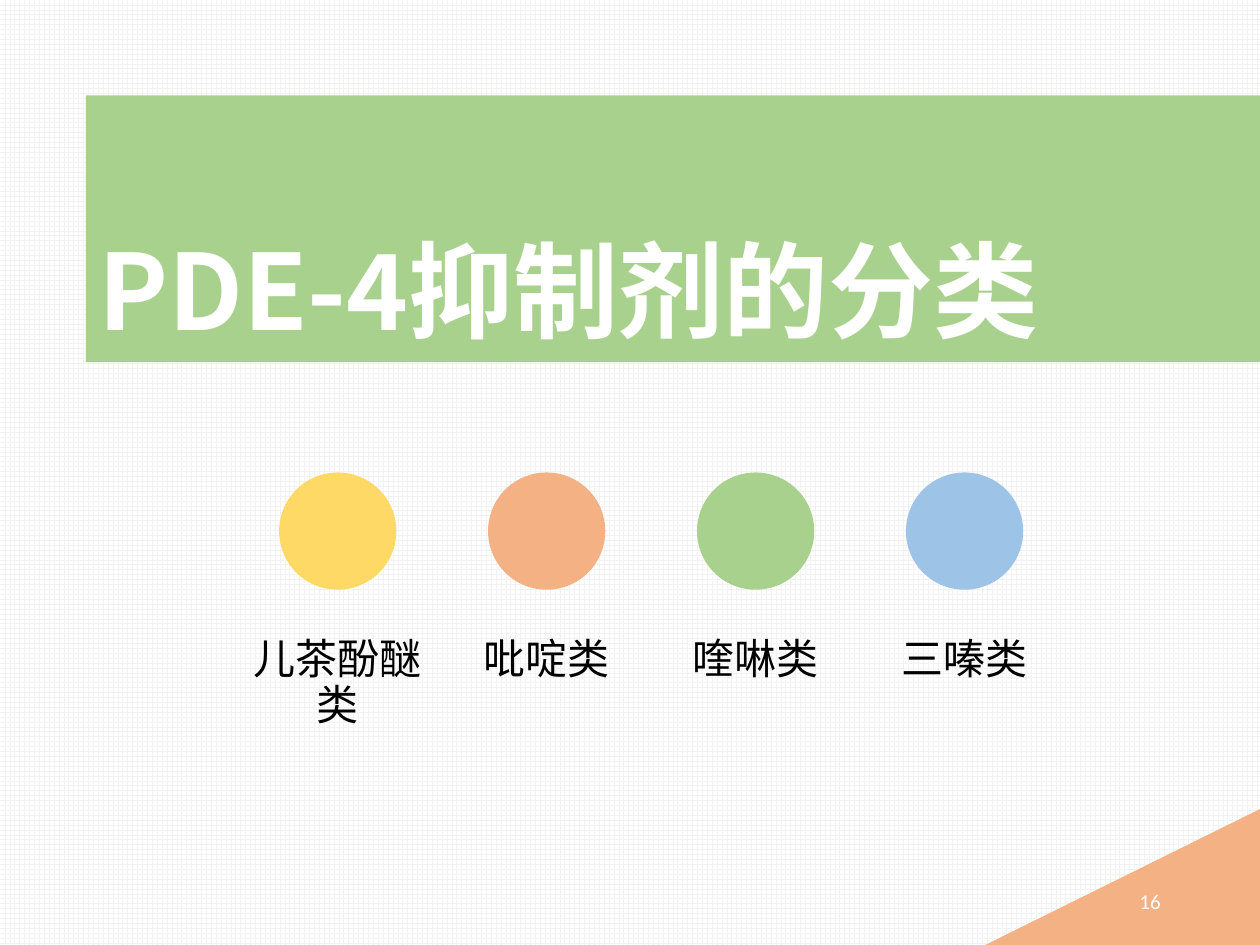
import dataclasses

import lxml.etree
import pptx
import pptx.dml.color
import pptx.enum.dml
import pptx.enum.shapes
import pptx.enum.text
import pptx.oxml.ns
import pptx.util

Pt = pptx.util.Pt
Shape = pptx.enum.shapes.MSO_SHAPE
Align = pptx.enum.text.PP_ALIGN
Anchor = pptx.enum.text.MSO_ANCHOR


@dataclasses.dataclass(frozen=True)
class Theme:
    white: str = "FFFFFF"
    black: str = "000000"
    grid: str = "F2F2F2"
    green: str = "A9D18E"
    orange: str = "F4B183"
    yellow: str = "FFD966"
    blue: str = "9DC3E6"
    latin: str = "Calibri"
    chinese: str = "Noto Sans CJK SC"
    title_size: int = 60
    label_size: int = 24
    number_size: int = 12


def color(value):
    return pptx.dml.color.RGBColor.from_string(value)


class SlideBuilder:
    def __init__(self, slide, theme):
        self.slide = slide
        self.theme = theme

    def background(self):
        fill = self.slide.background.fill
        fill.patterned()
        fill.pattern = pptx.enum.dml.MSO_PATTERN.LARGE_GRID
        fill.fore_color.rgb = color(self.theme.grid)
        fill.back_color.rgb = color(self.theme.white)

    def shape(self, kind, left, top, width, height, fill):
        shape = self.slide.shapes.add_shape(
            kind, Pt(left), Pt(top), Pt(width), Pt(height))
        shape.shadow.inherit = False
        shape.fill.solid()
        shape.fill.fore_color.rgb = color(fill)
        shape.line.fill.background()
        return shape

    def text(self, words, left, top, width, height, size, ink, font,
             align=Align.LEFT, anchor=Anchor.TOP, bold=False, wrap=True,
             line_spacing=1.0):
        box = self.slide.shapes.add_textbox(
            Pt(left), Pt(top), Pt(width), Pt(height))
        frame = box.text_frame
        frame.text = words
        frame.word_wrap = wrap
        frame.vertical_anchor = anchor
        para = frame.paragraphs[0]
        para.alignment = align
        para.line_spacing = line_spacing
        span = para.runs[0]
        span.font.name = font
        span.font.size = Pt(size)
        span.font.bold = bold
        span.font.color.rgb = color(ink)
        east_asian = lxml.etree.SubElement(
            span.font._element, pptx.oxml.ns.qn("a:ea"))
        east_asian.set("typeface", self.theme.chinese)


def main():
    theme = Theme()
    deck = pptx.Presentation()
    deck.slide_width = Pt(720)
    deck.slide_height = Pt(540)
    page = SlideBuilder(deck.slides.add_slide(deck.slide_layouts[6]), theme)
    page.background()

    corner = page.shape(Shape.ISOSCELES_TRIANGLE, 563, 462.3, 157, 77.7, theme.orange)
    corner.adjustments[0] = 1
    page.shape(Shape.RECTANGLE, 49, 54.5, 671, 152.5, theme.green)
    page.text("PDE-4抑制剂的分类", 49, -19.4, 620.6, 224.6, theme.title_size,
              theme.white, theme.chinese, anchor=Anchor.BOTTOM, bold=True,
              line_spacing=0.9)
    page.text("16", 508.3, 500.4, 162, 28.8, theme.number_size, theme.white,
              theme.latin, align=Align.RIGHT, anchor=Anchor.MIDDLE)

    classes = [
        ("儿茶酚醚类", theme.yellow),
        ("吡啶类", theme.orange),
        ("喹啉类", theme.green),
        ("三嗪类", theme.blue),
    ]
    first_center, pitch, diameter = 193, 119.4, 67
    for index, (name, fill) in enumerate(classes):
        center = first_center + index * pitch
        page.shape(Shape.OVAL, center - diameter / 2, 270, diameter, diameter, fill)
        page.text(name, center - pitch / 2, 361.4, pitch, 36, theme.label_size,
                  theme.black, theme.latin, align=Align.CENTER, wrap=False,
                  line_spacing=0.9)

    deck.save("out.pptx")


if __name__ == "__main__":
    main()
